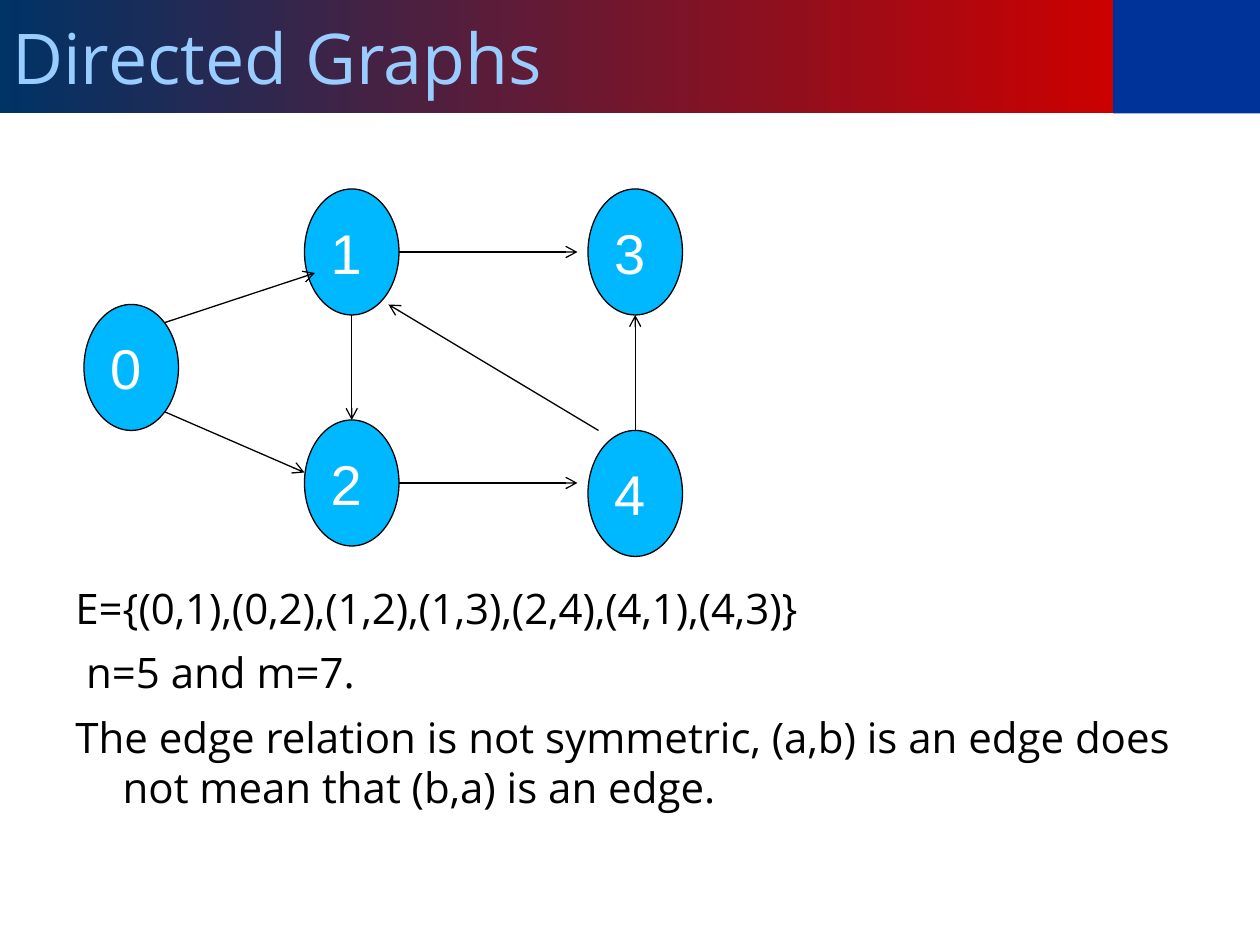
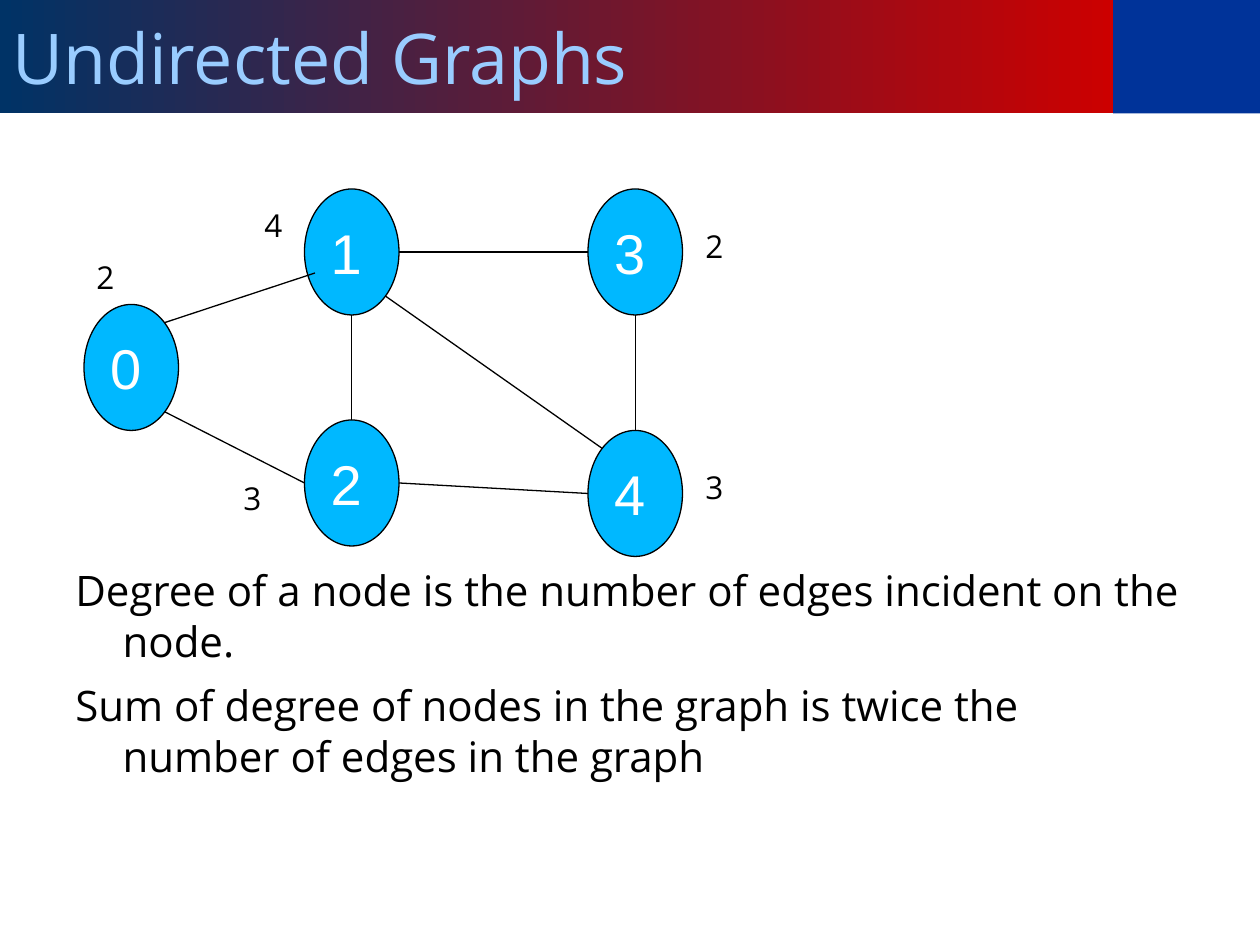
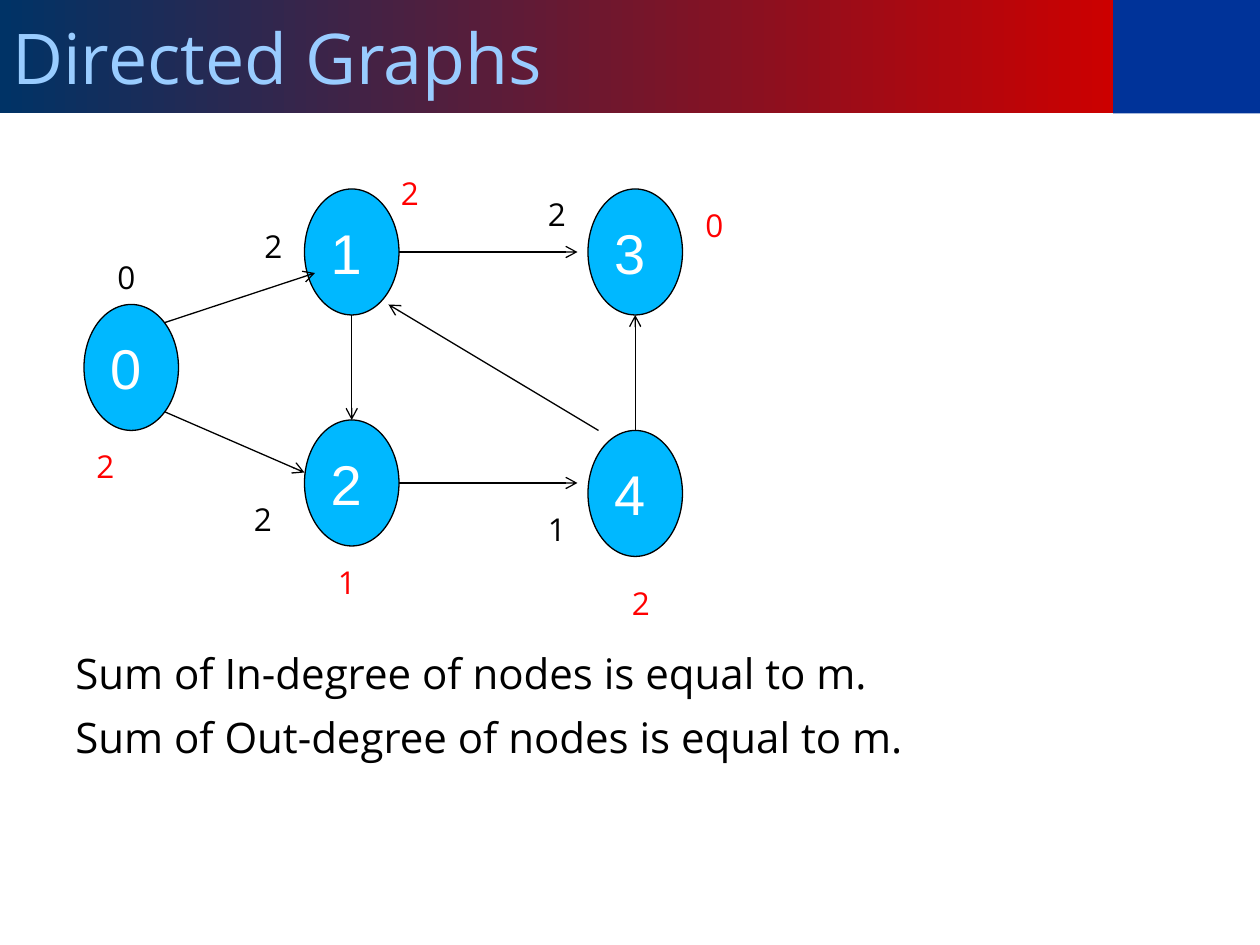
from dataclasses import dataclass

from lxml.etree import SubElement
from pptx import Presentation
from pptx.dml.color import RGBColor
from pptx.enum.shapes import MSO_CONNECTOR, MSO_SHAPE
from pptx.enum.text import MSO_ANCHOR, PP_ALIGN
from pptx.oxml.ns import qn
from pptx.util import Pt


@dataclass(frozen=True)
class Theme:
    """Colours, fonts and type sizes shared by all slides."""
    band_start: RGBColor = RGBColor(0x00, 0x33, 0x66)
    band_end: RGBColor = RGBColor(0xCC, 0x00, 0x00)
    corner: RGBColor = RGBColor(0x00, 0x33, 0x99)
    title: RGBColor = RGBColor(0x99, 0xCC, 0xFF)
    node: RGBColor = RGBColor(0x00, 0xB8, 0xFF)
    ink: RGBColor = RGBColor(0x00, 0x00, 0x00)
    paper: RGBColor = RGBColor(0xFF, 0xFF, 0xFF)
    out_degree: RGBColor = RGBColor(0xFF, 0x00, 0x00)
    text_font: str = "Open Sans"
    node_font: str = "Arial"
    title_size: int = 40
    node_size: int = 32
    body_size: int = 24
    label_size: int = 18
    leading: float = 1.2


THEME = Theme()
NODE_WIDTH, NODE_HEIGHT = 54, 72
NODES = {"4": (336, 246), "3": (336, 108), "2": (174, 240), "1": (174, 108), "0": (48, 174)}

# Each edge is (start x, start y, end x, end y).
SHARED_EDGES = [
    (94.3, 184.3, 180, 156),
    (201, 180, 201, 240),
    (363, 246, 363, 180),
]
DIRECTED_EDGES = SHARED_EDGES + [
    (94.3, 235.4, 174, 270),
    (228, 144, 330, 144),
    (228, 276, 330, 276),
    (342, 246, 222, 174),
]
UNDIRECTED_EDGES = SHARED_EDGES + [
    (94.3, 235.4, 174, 276),
    (228, 144, 336, 144),
    (228, 276, 336, 282),
    (220.3, 169.2, 344.2, 256.3),
]

# Degree labels are (text, left, top); body_inset is the room kept for the graph.
SLIDES = [
    {
        "title": "Directed Graphs",
        "edges": DIRECTED_EDGES,
        "directed": True,
        "degrees": [],
        "out_degrees": [],
        "body_inset": 237,
        "body": [
            "E={(0,1),(0,2),(1,2),(1,3),(2,4),(4,1),(4,3)}",
            " n=5 and m=7.",
            "The edge relation is not symmetric, (a,b) is an edge does not mean that (b,a) is an edge.",
        ],
    },
    {
        "title": "Undirected Graphs",
        "edges": UNDIRECTED_EDGES,
        "directed": False,
        "degrees": [("2", 48, 144), ("3", 132, 270), ("4", 144, 114),
                    ("2", 396, 126), ("3", 396, 264)],
        "out_degrees": [],
        "body_inset": 227,
        "body": [
            "Degree of a node is the number of edges incident on the node.",
            "Sum of degree of nodes in the graph is twice the number of edges in the graph",
        ],
    },
    {
        "title": "Directed Graphs",
        "edges": DIRECTED_EDGES,
        "directed": True,
        "degrees": [("2", 306, 108), ("1", 306, 288), ("2", 138, 282),
                    ("2", 144, 126), ("0", 60, 144)],
        "out_degrees": [("0", 396, 114), ("2", 222, 96), ("2", 354, 330),
                        ("1", 186, 318), ("2", 48, 252)],
        "body_inset": 274,
        "body": [
            "Sum of In-degree of nodes is equal to m.",
            "Sum of Out-degree of nodes is equal to m.",
        ],
    },
]


def write(holder, lines, size, color, font=THEME.text_font, leading=THEME.leading, **frame_format):
    """Fill a shape with left-aligned paragraphs and return them."""
    frame = holder.text_frame
    for attribute, value in {"word_wrap": True, **frame_format}.items():
        setattr(frame, attribute, value)
    frame.text = "\n".join(lines)
    for paragraph in frame.paragraphs:
        paragraph.alignment = PP_ALIGN.LEFT
        if leading:
            paragraph.line_spacing = Pt(size * leading)
        for run in paragraph.runs:
            for attribute, value in {"size": Pt(size), "name": font}.items():
                setattr(run.font, attribute, value)
            run.font.color.rgb = color
    return frame.paragraphs


def add_plain_shape(slide, preset, left, top, width, height):
    """Add a preset shape without a shadow or an outline."""
    plain = slide.shapes.add_shape(preset, Pt(left), Pt(top), Pt(width), Pt(height))
    plain.shadow.inherit = False
    plain.line.fill.background()
    return plain


deck = Presentation()
deck.slide_width, deck.slide_height = Pt(720), Pt(540)

for content in SLIDES:
    slide = deck.slides.add_slide(deck.slide_layouts[6])

    # Title band
    corner = add_plain_shape(slide, MSO_SHAPE.RECTANGLE, 636, 0, 84, 64.8)
    corner.fill.solid()
    corner.fill.fore_color.rgb = THEME.corner
    band = add_plain_shape(slide, MSO_SHAPE.RECTANGLE, 0, 0, 636.3, 64.8)
    band.fill.gradient()
    band.fill.gradient_angle = 0
    for stop, color in zip(band.fill.gradient_stops, (THEME.band_start, THEME.band_end)):
        stop.color.rgb = color
    write(band, [content["title"]], THEME.title_size, THEME.title,
          vertical_anchor=MSO_ANCHOR.MIDDLE)

    # Statements below the graph
    body = slide.shapes.add_textbox(Pt(36), Pt(95.8), Pt(648), Pt(386.6))
    statements = write(body, content["body"], THEME.body_size, THEME.ink,
                       margin_top=Pt(content["body_inset"]))
    for statement in statements:
        statement.space_before = Pt(8)
        properties = statement._p.get_or_add_pPr()
        properties.set("marL", str(Pt(27)))
        properties.set("indent", str(Pt(-27)))

    # Graph nodes
    for number, (left, top) in NODES.items():
        node = add_plain_shape(slide, MSO_SHAPE.OVAL, left, top, NODE_WIDTH, NODE_HEIGHT)
        node.fill.solid()
        node.fill.fore_color.rgb = THEME.node
        node.line.color.rgb = THEME.ink
        node.line.width = Pt(0.75)
        write(node, [number], THEME.node_size, THEME.paper, font=THEME.node_font,
              leading=None, vertical_anchor=MSO_ANCHOR.MIDDLE)

    # Graph edges
    for ends in content["edges"]:
        edge = slide.shapes.add_connector(MSO_CONNECTOR.STRAIGHT, *map(Pt, ends))
        edge.line.color.rgb = THEME.ink
        edge.line.width = Pt(0.75)
        SubElement(edge._element.spPr, qn("a:effectLst"))
        if content["directed"]:
            SubElement(edge.line._get_or_add_ln(), qn("a:tailEnd"), type="arrow")

    # Degree labels
    for group, color in (("degrees", THEME.ink), ("out_degrees", THEME.out_degree)):
        for degree, left, top in content[group]:
            label = slide.shapes.add_textbox(Pt(left), Pt(top), Pt(26), Pt(28.8))
            write(label, [degree], THEME.label_size, color)

deck.save("out.pptx")
